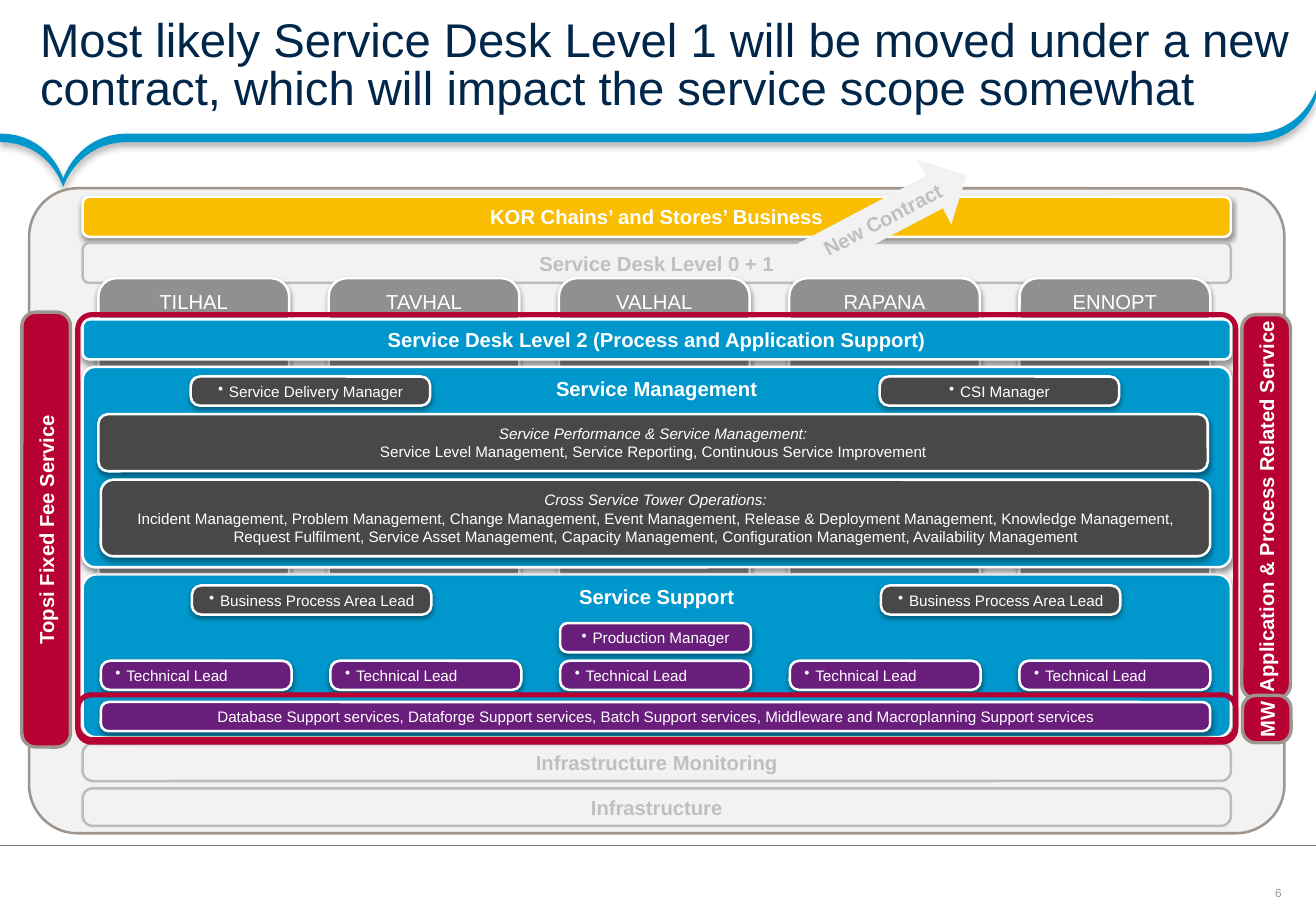
from lxml.etree import SubElement
from pptx import Presentation
from pptx.dml.color import RGBColor
from pptx.enum.shapes import MSO_CONNECTOR, MSO_SHAPE
from pptx.enum.text import MSO_ANCHOR, PP_ALIGN
from pptx.oxml.ns import qn
from pptx.util import Inches, Pt


class Theme:
    font = "Arial"
    navy, blue, white, black = "00264A", "0098CC", "FFFFFF", "000000"
    yellow, red, purple = "F9BE01", "B70132", "691E7C"
    pale, faded, faded_text = "F2F2F2", "BCBCBC", "BFBFBF"
    gray, dark, taupe, rule = "909090", "484848", "9F958F", "7F7F7F"
    title, heading, body, number = 28, 12, 9, 7
    box_shadow = (38, 3.1, 1.6)
    banner_shadow = (31, 4, 2)


def bezier(p0, p1, p2, p3, steps=16):
    """Points along a cubic curve, without its start point."""
    for i in range(1, steps + 1):
        t = i / steps
        u = 1 - t
        yield tuple(u**3 * a + 3 * u * u * t * b + 3 * u * t * t * c + t**3 * d
                    for a, b, c, d in zip(p0, p1, p2, p3))


class SlideBuilder:
    def __init__(self, slide, theme):
        self.slide, self.theme = slide, theme

    def text(self, tf, paragraphs, size, color, bold=False, align=PP_ALIGN.CENTER,
             anchor=MSO_ANCHOR.MIDDLE, insets=(0.1, 0.05, 0.1, 0.05),
             bullet=False, italic_first=False):
        tf.word_wrap = True
        tf.vertical_anchor = anchor
        tf.margin_left, tf.margin_top, tf.margin_right, tf.margin_bottom = map(Inches, insets)
        tf.text = paragraphs
        for i, p in enumerate(tf.paragraphs):
            p.alignment = align
            for r in p.runs:
                r.font.name = self.theme.font
                r.font.size = Pt(size)
                r.font.bold = bold
                r.font.italic = italic_first and i == 0
                r.font.color.rgb = RGBColor.from_string(color)
            if bullet:
                pPr = p._p.get_or_add_pPr()
                pPr.set("marL", str(Inches(0.09)))
                pPr.set("indent", str(-Inches(0.09)))
                SubElement(pPr, qn("a:buChar"), char="•")

    def shadow(self, sp, opacity, blur, distance):
        """Drop a black shadow straight down; opacity in percent, lengths in points."""
        sp.shadow.inherit = False
        effects = sp._element.spPr.find(qn("a:effectLst"))
        outer = SubElement(effects, qn("a:outerShdw"), blurRad=str(Pt(blur)),
                           dist=str(Pt(distance)), dir="5400000", rotWithShape="0")
        clr = SubElement(outer, qn("a:srgbClr"), val=self.theme.black)
        SubElement(clr, qn("a:alpha"), val=str(opacity * 1000))

    def shape(self, box, fill=None, line=None, width=1.5, adj=None, rotation=0,
              shadow=False, kind=MSO_SHAPE.ROUNDED_RECTANGLE):
        sp = self.slide.shapes.add_shape(kind, *map(Inches, box))
        sp.rotation = rotation
        if adj is not None:
            sp.adjustments[0] = adj
        if fill:
            sp.fill.solid()
            sp.fill.fore_color.rgb = RGBColor.from_string(fill)
        else:
            sp.fill.background()
        if line:
            sp.line.color.rgb = RGBColor.from_string(line)
            sp.line.width = Pt(width)
        else:
            sp.line.fill.background()
        sp.shadow.inherit = False
        if shadow:
            self.shadow(sp, *self.theme.box_shadow)
        return sp

    def panel(self, box, label, fill, adj=None, bold=True, anchor=MSO_ANCHOR.MIDDLE):
        sp = self.shape(box, fill, self.theme.white, adj=adj, shadow=True)
        self.text(sp.text_frame, label, self.theme.heading, self.theme.white, bold, anchor=anchor)

    def faded_bar(self, box, label, adj=None):
        sp = self.shape(box, self.theme.pale, self.theme.faded, adj=adj)
        self.text(sp.text_frame, label, self.theme.heading, self.theme.faded_text, True)

    def detail(self, box, label, fill, adj=None, **style):
        sp = self.shape(box, fill, self.theme.white, adj=adj, shadow=True)
        self.text(sp.text_frame, label, self.theme.body, self.theme.white, **style)

    def side_tab(self, box, label, inset):
        sp = self.shape(box, self.theme.red, self.theme.taupe, 2, 0.284, 270)
        self.text(sp.text_frame, label, self.theme.heading, self.theme.white, True,
                  insets=(inset, 0.05, inset, 0.05))

    def text_box(self, box, label, size, color, line_spacing=1, **style):
        tf = self.slide.shapes.add_textbox(*map(Inches, box)).text_frame
        self.text(tf, label, size, color, **style)
        tf.paragraphs[0].line_spacing = line_spacing

    def banner(self):
        """Blue band under the title, with a pointed notch at the left."""
        left, notch, right, end = (0, 1.1), (0.52, 1.47), (10.3, 1.1), (10.83, 0.74)
        edge = [left, *bezier(left, (0.41, 1.1), notch, notch),
                *bezier(notch, notch, (0.64, 1.1), (1.05, 1.1)),
                right, *bezier(right, (10.72, 1.1), end, end)]
        outline = edge + [(x, y + 0.07) for x, y in reversed(edge)]
        points = [(Inches(x), Inches(y)) for x, y in outline]
        fb = self.slide.shapes.build_freeform(*points[0])
        fb.add_line_segments(points[1:], close=True)
        sp = fb.convert_to_shape()
        sp.fill.solid()
        sp.fill.fore_color.rgb = RGBColor.from_string(self.theme.blue)
        sp.line.fill.background()
        self.shadow(sp, *self.theme.banner_shadow)

    def footer_line(self, y):
        ln = self.slide.shapes.add_connector(MSO_CONNECTOR.STRAIGHT, Inches(10.83), Inches(y),
                                             Inches(0), Inches(y))
        ln.line.color.rgb = RGBColor.from_string(self.theme.rule)
        ln.line.width = Pt(0.75)
        SubElement(ln._element.spPr, qn("a:effectLst"))


def main():
    prs = Presentation()
    prs.slide_width, prs.slide_height = Inches(10.83), Inches(7.5)
    t = Theme
    s = SlideBuilder(prs.slides.add_slide(prs.slide_layouts[6]), t)
    left, width = 0.68, 9.45
    top = MSO_ANCHOR.TOP

    s.text_box((10.4, 7.29, 0.24, 0.12), "6", t.number, t.taupe, insets=(0, 0, 0, 0))
    s.banner()
    s.footer_line(6.96)
    s.shape((0.24, 1.55, 10.33, 5.31), t.pale, t.taupe, adj=0.075)
    s.panel((left, 1.62, width, 0.33), "KOR Chains’ and Stores’ Business", t.yellow)
    s.faded_bar((left, 2, width, 0.33), "Service Desk Level 0 + 1")
    s.text_box((0, 0, 10.83, 1.1),
               "Most likely Service Desk Level 1 will be moved under a new contract, "
               "which will impact the service scope somewhat",
               t.title, t.navy, line_spacing=0.85, align=PP_ALIGN.LEFT,
               insets=(0.33, 0.04, 0.18, 0.04))
    for y, label in ((6.49, "Infrastructure"), (6.12, "Infrastructure Monitoring")):
        s.faded_bar((left, y, width, 0.31), label, 0.271)

    areas = ("TILHAL", "TAVHAL", "VALHAL", "RAPANA", "ENNOPT")
    for i, area in enumerate(areas):
        s.panel((0.81 + 1.895 * i, 2.29, 1.57, 2.92), area, t.gray, 0.095, False, top)
    s.panel((left, 2.63, width, 0.33),
            "Service Desk Level 2 (Process and Application Support)", t.blue)

    s.panel((left, 4.73, width, 1.34), "Service Support", t.blue, 0.083, anchor=top)
    s.detail((0.83, 5.78, 9.13, 0.24),
             "Database Support services, Dataforge Support services, Batch Support services, "
             "Middleware and Macroplanning Support services", t.purple, 0.27)
    for i in range(len(areas)):
        s.detail((0.83 + 1.89 * i, 5.44, 1.57, 0.24), "Technical Lead", t.purple, 0.314,
                 align=PP_ALIGN.LEFT, bullet=True)
    s.detail((4.61, 5.13, 1.57, 0.24), "Production Manager", t.purple, 0.252, bullet=True)

    s.panel((left, 3.02, width, 1.65), "Service Management", t.blue, 0.063, anchor=top)
    s.detail((0.81, 3.41, 9.13, 0.47),
             "Service Performance & Service Management:\n"
             "Service Level Management, Service Reporting, Continuous Service Improvement",
             t.dark, italic_first=True)
    s.detail((0.83, 3.95, 9.13, 0.63),
             "Cross Service Tower Operations:\n"
             "Incident Management, Problem Management, Change Management, Event Management, "
             "Release & Deployment Management, Knowledge Management, Request Fulfilment, "
             "Service Asset Management, Capacity Management, Configuration Management, "
             "Availability Management", t.dark, italic_first=True)
    for x, y, role in ((1.58, 4.82, "Business Process Area Lead"),
                       (7.25, 4.82, "Business Process Area Lead"),
                       (1.57, 3.1, "Service Delivery Manager"),
                       (7.24, 3.1, "CSI Manager")):
        s.detail((x, y, 1.97, 0.24), role, t.dark, 0.314, bullet=True)

    s.shape((0.64, 5.72, 9.53, 0.39), line=t.red, width=3, adj=0.288)
    s.side_tab((-1.41, 4.16, 3.58, 0.4), "Topsi Fixed Fee Service", 0.1)
    s.side_tab((8.84, 3.97, 3.16, 0.4), "Application & Process Related Service", 0)
    s.side_tab((10.23, 5.72, 0.39, 0.4), "MW", 0)
    arrow = s.shape((6.55, 1.49, 1.49, 0.6), t.pale, rotation=332.2, kind=MSO_SHAPE.RIGHT_ARROW)
    s.text(arrow.text_frame, "New Contract", t.heading, t.faded_text, True,
           insets=(0.08, 0.05, 0, 0.05))
    s.shape((0.64, 2.59, 9.53, 3.5), line=t.red, width=3, adj=0.034)
    prs.save("out.pptx")


if __name__ == "__main__":
    main()
